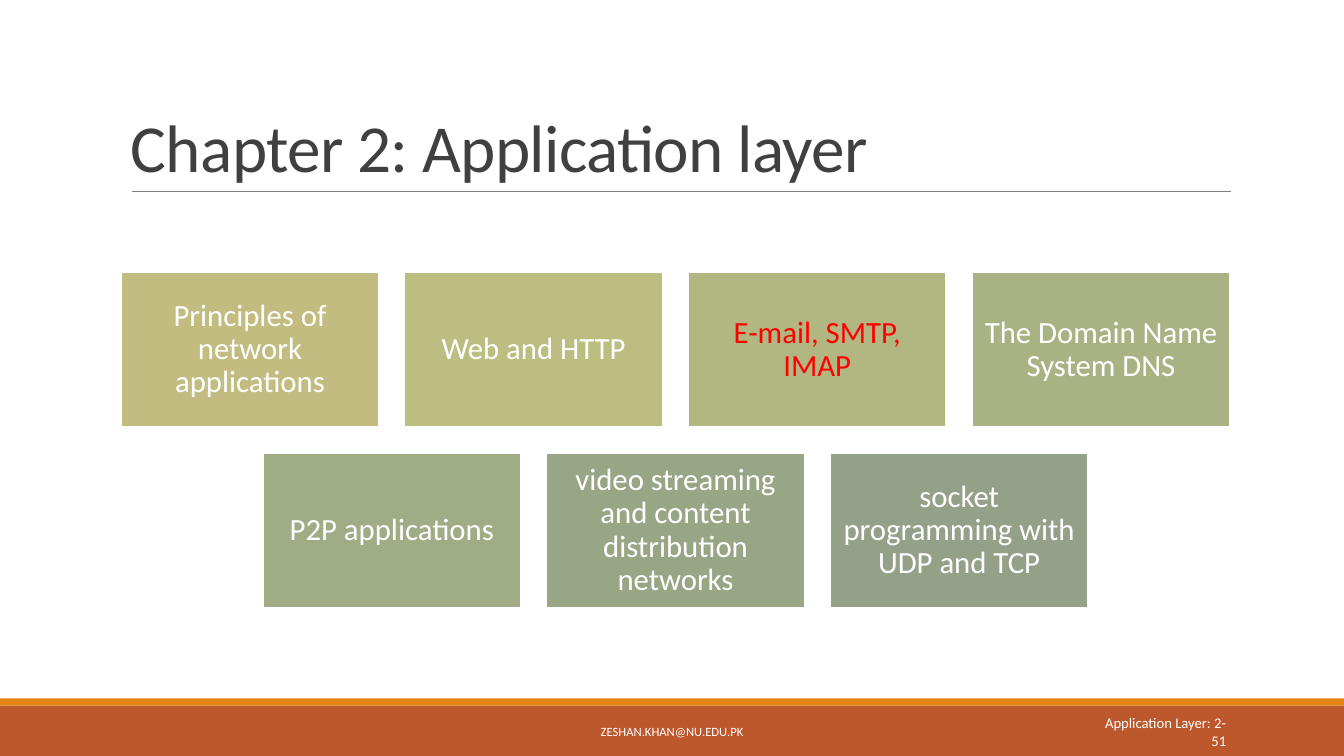
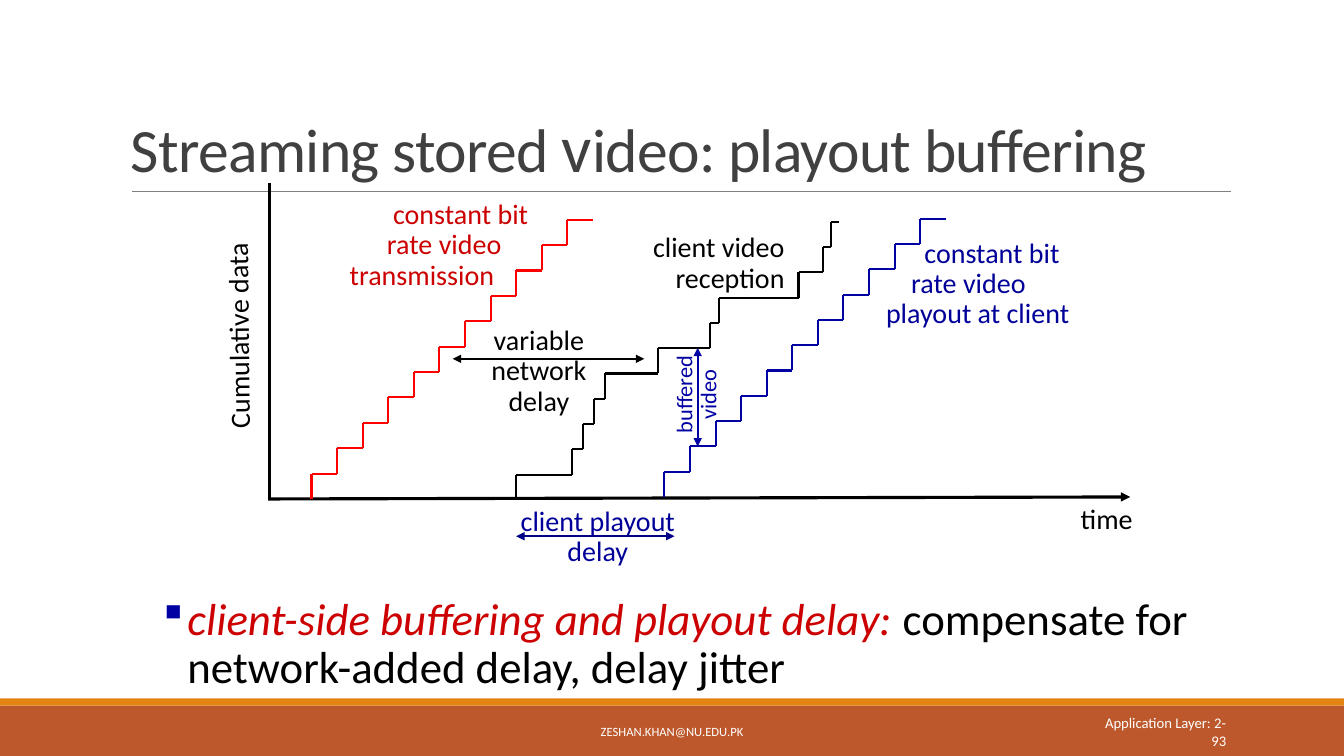
from dataclasses import dataclass
from typing import Optional

from pptx import Presentation
from pptx.dml.color import RGBColor
from pptx.enum.shapes import MSO_CONNECTOR, MSO_SHAPE
from pptx.enum.text import MSO_ANCHOR, PP_ALIGN
from pptx.oxml.ns import qn
from pptx.util import Inches, Pt
from lxml.etree import SubElement

# Shared look
FONT = "Calibri"
COLORS = {
    "band": "BD582C", "strip": "E48312", "rule": "808080", "title": "404040",
    "white": "FFFFFF", "black": "000000", "highlight": "FF0000",
    "sent": "FF0000", "sent_text": "CC0000",
    "playout": "0000A3", "playout_text": "000099", "delay": "010086",
    "card_1": "C2BC80", "card_2": "BCBD81", "card_3": "B2B782",
    "card_4": "A8B283", "card_5": "A0AC85", "card_6": "99A686", "card_7": "94A088",
}
SLIDE_WIDTH, SLIDE_HEIGHT = 13.33, 7.5
CONTENT_LEFT, CONTENT_WIDTH = 1.2, 11
STEP_COUNT = 11


@dataclass
class Run:
    text: str
    size: float
    color: str
    italic: bool = False
    spacing: Optional[float] = None


@dataclass
class Line:
    runs: list[Run]
    indent: float = 0


@dataclass
class TextStyle:
    align: PP_ALIGN = PP_ALIGN.LEFT
    anchor: MSO_ANCHOR = MSO_ANCHOR.TOP
    line_spacing: float = 0.9
    wrap: bool = True
    inset: Optional[float] = None
    rotation: float = 0
    bullet_color: Optional[str] = None


@dataclass
class Box:
    left: float
    top: float
    width: float
    height: float

    def lengths(self) -> list:
        return [Inches(v) for v in (self.left, self.top, self.width, self.height)]


@dataclass
class Card:
    text: str
    fill: str
    color: str = "white"


@dataclass
class Label:
    box: Box
    lines: list[str]
    color: str
    style: TextStyle
    size: float = 20
    indents: tuple = (0, 0, 0)


@dataclass
class Segment:
    start: tuple[float, float]
    end: tuple[float, float]
    color: str
    width: float
    arrows: tuple = ()


@dataclass
class Staircase:
    x_values: list[float]
    bottom: float
    top: float
    color: str


def rgb(name: str) -> RGBColor:
    return RGBColor.from_string(COLORS[name])


def apply_format(target, values: dict) -> None:
    for name, value in values.items():
        setattr(target, name, value)


# Text
def add_bullet(paragraph, color: str) -> None:
    properties = paragraph._p.get_or_add_pPr()
    properties.set("marL", str(Inches(0.39)))
    properties.set("indent", str(Inches(-0.24)))
    bullet_color = SubElement(properties, qn("a:buClr"))
    SubElement(bullet_color, qn("a:srgbClr")).set("val", COLORS[color])
    bullet_font = SubElement(properties, qn("a:buFont"))
    bullet_font.set("typeface", "Wingdings")
    bullet_font.set("charset", "2")
    SubElement(properties, qn("a:buChar")).set("char", "§")


def write_text(shape, lines: list[Line], style: TextStyle) -> None:
    frame = shape.text_frame
    apply_format(frame, {"word_wrap": style.wrap, "vertical_anchor": style.anchor})
    if style.inset is not None:
        sides = ("left", "top", "right", "bottom")
        apply_format(frame, {f"margin_{side}": Inches(style.inset) for side in sides})
    for index, line in enumerate(lines):
        paragraph = frame.add_paragraph() if index else frame.paragraphs[0]
        if style.bullet_color:
            add_bullet(paragraph, style.bullet_color)
        elif line.indent:
            paragraph._p.get_or_add_pPr().set("marL", str(Inches(line.indent)))
        apply_format(paragraph, {"alignment": style.align,
                                 "line_spacing": style.line_spacing})
        for item in line.runs:
            run = paragraph.add_run()
            run.text = item.text
            apply_format(run.font, {"name": FONT, "size": Pt(item.size),
                                    "italic": item.italic})
            run.font.color.rgb = rgb(item.color)
            if item.spacing is not None:
                run._r.get_or_add_rPr().set("spc", str(int(item.spacing * 100)))


def add_text(slide, box: Box, lines: list[Line], style: TextStyle) -> None:
    shape = slide.shapes.add_textbox(*box.lengths())
    shape.rotation = style.rotation
    write_text(shape, lines, style)


def add_label(slide, label: Label) -> None:
    lines = [Line([Run(text, label.size, label.color)], indent)
             for text, indent in zip(label.lines, label.indents)]
    add_text(slide, label.box, lines, label.style)


# Shapes and lines
def add_rectangle(slide, box: Box, fill: str, outline: Optional[str] = None):
    shape = slide.shapes.add_shape(MSO_SHAPE.RECTANGLE, *box.lengths())
    shape.shadow.inherit = False
    shape.fill.solid()
    shape.fill.fore_color.rgb = rgb(fill)
    if outline:
        shape.line.color.rgb = rgb(outline)
        shape.line.width = Pt(1.25)
    else:
        shape.line.fill.background()
    return shape


def add_segment(slide, segment: Segment) -> None:
    points = [Inches(v) for v in (*segment.start, *segment.end)]
    connector = slide.shapes.add_connector(MSO_CONNECTOR.STRAIGHT, *points)
    connector.line.color.rgb = rgb(segment.color)
    connector.line.width = Pt(segment.width)
    properties = connector._element.spPr
    outline = properties.find(qn("a:ln"))
    for arrow in segment.arrows:
        SubElement(outline, qn(f"a:{arrow}")).set("type", "triangle")
    SubElement(properties, qn("a:effectLst"))


def add_staircase(slide, stairs: Staircase) -> None:
    rise = (stairs.bottom - stairs.top) / STEP_COUNT
    for index, (left, right) in enumerate(zip(stairs.x_values, stairs.x_values[1:])):
        foot = stairs.bottom - index * rise
        level = foot - rise
        add_segment(slide, Segment((left, level), (left, foot), stairs.color, 1.5))
        add_segment(slide, Segment((right, level), (left, level), stairs.color, 1.5))


def even_steps(start: float, end: float) -> list[float]:
    return [start + (end - start) * i / STEP_COUNT for i in range(STEP_COUNT + 1)]


# Frame that every slide shares
def add_base_slide(presentation, title: list[tuple[str, float]], number: str):
    slide = presentation.slides.add_slide(presentation.slide_layouts[6])
    add_rectangle(slide, Box(0, 7, SLIDE_WIDTH, 0.5), "band")
    add_rectangle(slide, Box(0, 6.93, SLIDE_WIDTH, 0.07), "strip")
    add_segment(slide, Segment((1.31, 1.9), (12.21, 1.9), "rule", 0.5))
    title_runs = [Run(text, size, "title", spacing=-0.5) for text, size in title]
    add_text(slide, Box(CONTENT_LEFT, 0.31, CONTENT_WIDTH, 1.59), [Line(title_runs)],
             TextStyle(anchor=MSO_ANCHOR.BOTTOM, line_spacing=0.85))
    footers = [
        (Box(4.03, 7.06, 5.27, 0.4), "ZESHAN.KHAN@NU.EDU.PK", 9, PP_ALIGN.CENTER),
        (Box(10.83, 7.06, 1.43, 0.4), f"Application Layer: {number}", 10.5, PP_ALIGN.RIGHT),
    ]
    for box, text, size, align in footers:
        add_text(slide, box, [Line([Run(text, size, "white")])],
                 TextStyle(align, MSO_ANCHOR.MIDDLE, 1.0))
    return slide


def build_chapter_slide(presentation) -> None:
    slide = add_base_slide(presentation, [("Chapter 2: Application layer", 48)], "2-51")
    rows = [
        [Card("Principles of network applications", "card_1"),
         Card("Web and HTTP", "card_2"),
         Card("E-mail, SMTP, IMAP", "card_3", "highlight"),
         Card("The Domain Name System DNS", "card_4")],
        [Card("P2P applications", "card_5"),
         Card("video streaming and content distribution networks", "card_6"),
         Card("socket programming with UDP and TCP", "card_7")],
    ]
    width, height, first_top = 2.56, 1.54, 2.7
    gap = (CONTENT_WIDTH - 4 * width) / 3
    style = TextStyle(PP_ALIGN.CENTER, MSO_ANCHOR.MIDDLE, inset=0.09)
    for row_index, row in enumerate(rows):
        row_width = len(row) * (width + gap) - gap
        row_left = CONTENT_LEFT + (CONTENT_WIDTH - row_width) / 2
        top = first_top + row_index * (height + gap)
        for column, card in enumerate(row):
            box = Box(row_left + column * (width + gap), top, width, height)
            shape = add_rectangle(slide, box, card.fill, "white")
            write_text(shape, [Line([Run(card.text, 22, card.color)])], style)


def build_buffering_slide(presentation) -> None:
    title = [("Streaming stored ", 44), ("v", 48), ("ideo: playout buffering", 44)]
    slide = add_base_slide(presentation, title, "2-93")

    # Axes, delay arrows and buffer arrow
    both = ("headEnd", "tailEnd")
    for segment in [
        Segment((2.67, 1.82), (2.67, 4.94), "black", 2.25),
        Segment((11.21, 4.93), (2.66, 4.95), "black", 2.25, ("headEnd",)),
        Segment((4.49, 3.56), (6.39, 3.56), "black", 1.5, both),
        Segment((5.12, 5.32), (6.69, 5.32), "delay", 1.5, both),
        Segment((6.92, 4.43), (6.92, 3.45), "playout", 1.5, both),
    ]:
        add_segment(slide, segment)

    # Cumulative data curves
    reception = [5.12, 5.67, 5.78, 5.89, 6, 6.53, 7.04, 7.13, 7.92, 8.16, 8.24, 8.32]
    for stairs in [
        Staircase(even_steps(3.09, 5.88), 4.95, 2.18, "sent"),
        Staircase(reception, 4.96, 2.2, "black"),
        Staircase(even_steps(6.59, 9.38), 4.93, 2.17, "playout"),
    ]:
        add_staircase(slide, stairs)

    # Labels
    left = TextStyle()
    center = TextStyle(PP_ALIGN.CENTER, wrap=False)
    right = TextStyle(PP_ALIGN.RIGHT, wrap=False)
    for label in [
        Label(Box(3.37, 1.94, 2.06, 1.01), ["constant bit", "rate video", "transmission"],
              "sent_text", left, indents=(0.43, 0.37, 0)),
        Label(Box(1.31, 3.08, 2.14, 0.4), ["Cumulative data"], "black",
              TextStyle(rotation=269.4)),
        Label(Box(10.62, 4.96, 0.73, 0.4), ["time"], "black", TextStyle(wrap=False)),
        Label(Box(4.77, 3.19, 1.15, 1.01), ["variable", "network", "delay"],
              "black", center),
        Label(Box(6.36, 2.27, 1.52, 0.71), ["client video", "reception"], "black", right),
        Label(Box(8.63, 2.32, 2.1, 1.01), ["constant bit", "rate video", "playout at client"],
              "playout_text", left, indents=(0.44, 0.31, 0.06)),
        Label(Box(5.01, 4.98, 1.84, 0.71), ["client playout", "delay"],
              "playout_text", center),
        Label(Box(6.43, 3.62, 0.98, 0.59), ["buffered", "video"], "playout",
              TextStyle(PP_ALIGN.CENTER, wrap=False, rotation=270), size=16),
    ]:
        add_label(slide, label)

    # Takeaway
    takeaway = [Run("client-side buffering and playout delay: ", 32, "sent_text", True),
                Run("compensate for network-added delay, delay jitter", 32, "black")]
    add_text(slide, Box(1.37, 5.87, 11.5, 0.97), [Line(takeaway)],
             TextStyle(bullet_color="playout"))


def main() -> None:
    presentation = Presentation()
    presentation.slide_width = Inches(SLIDE_WIDTH)
    presentation.slide_height = Inches(SLIDE_HEIGHT)
    build_chapter_slide(presentation)
    build_buffering_slide(presentation)
    presentation.save("out.pptx")


if __name__ == "__main__":
    main()
